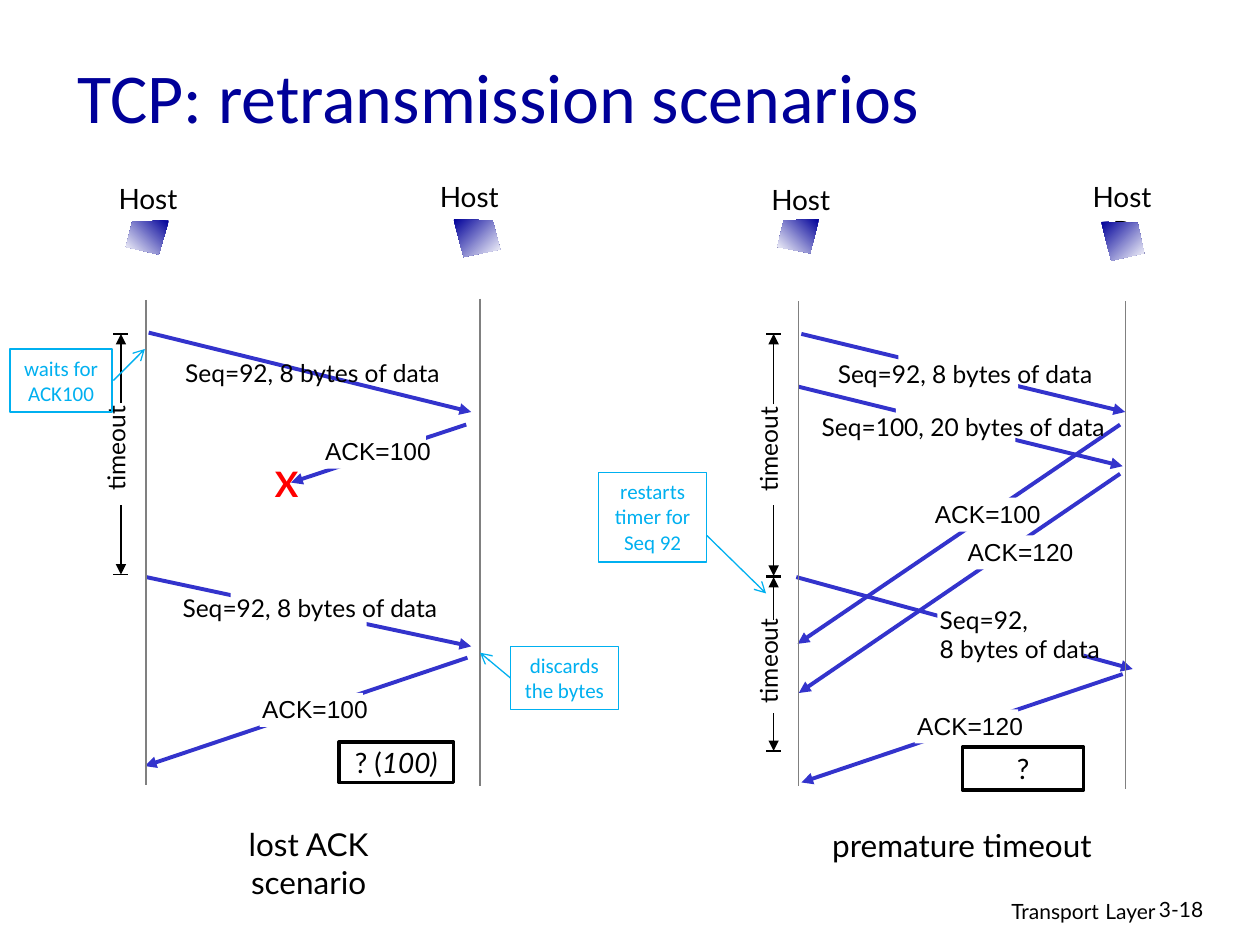
from typing import NamedTuple, Optional

from lxml import etree
from pptx import Presentation
from pptx.dml.color import RGBColor
from pptx.enum.shapes import MSO_CONNECTOR, MSO_SHAPE
from pptx.enum.text import MSO_ANCHOR, PP_ALIGN
from pptx.oxml.ns import qn
from pptx.util import Pt

PX = 9144  # EMU per px, 100 px to the inch
STRAIGHT = MSO_CONNECTOR.STRAIGHT
RECTANGLE = MSO_SHAPE.RECTANGLE
LEFT, CENTER, RIGHT = PP_ALIGN.LEFT, PP_ALIGN.CENTER, PP_ALIGN.RIGHT
TOP, MIDDLE = MSO_ANCHOR.TOP, MSO_ANCHOR.MIDDLE

BLACK, WHITE, RED, GREY = "000000", "FFFFFF", "FF0000", "808080"
NAVY, ARROW_BLUE, NOTE_BLUE = "000099", "3333CC", "00B0F0"

Box = tuple[int, int, int, int]
Point = tuple[int, int]


class Style(NamedTuple):
    color: str
    font: dict


def style(name: str, size: int, color: str = BLACK, **extra: bool) -> Style:
    return Style(color, {"name": name, "size": Pt(size), **extra})


TITLE = style("Calibri", 40, NAVY)
CAPTION = style("Lato", 18)
HOST = style("Lato", 16)
ANSWER_ITALIC = style("Lato", 16, italic=True)
DATA = style("Lato", 14)
ACK = style("Arial", 14)
LOSS = style("Lato", 20, RED, bold=True)
NOTE = style("Calibri", 12, NOTE_BLUE)
FOOTER = style("Lato", 12)


class Message(NamedTuple):
    start: Point
    end: Point
    text: str
    label: Box
    style: Style = DATA
    mask: Optional[Box] = None
    align: PP_ALIGN = CENTER


class Timer(NamedTuple):
    x: int
    top: int
    upper_stem: int
    lower_stem: int
    bottom: int


class Host(NamedTuple):
    name: str
    label: Box
    outline: list[Point]
    gradient_angle: int
    lifeline: tuple[Point, Point]


class Callout(NamedTuple):
    text: str
    box: Box
    start: Point
    end: Point


class Scenario(NamedTuple):
    messages: list[Message]
    hosts: list[Host]
    timers: list[Timer]


def ack(start: Point, end: Point, number: int, left: int, top: int) -> Message:
    return Message(start, end, f"ACK={number}", (left, top, 104, 33), ACK,
                   (left + 8, top + 4, 82, 27))


LOST_ACK = Scenario(
    [
        Message((116, 458), (374, 513), "Seq=92, 8 bytes of data",
                (132, 466, 228, 33), mask=(183, 457, 108, 47)),
        Message((118, 264), (374, 327), "Seq=92, 8 bytes of data", (134, 279, 228, 33)),
        ack((370, 337), (231, 383), 100, 248, 341),
        ack((371, 522), (115, 608), 100, 198, 546),
    ],
    [
        Host("Host A", (76, 139, 83, 37), [(134, 175), (105, 176), (100, 196), (126, 202)],
             225, ((116, 238), (116, 623))),
        Host("Host B", (331, 138, 83, 37), [(360, 174), (391, 175), (397, 198), (368, 204)],
             315, ((381, 237), (381, 624))),
    ],
    [Timer(96, 265, 320, 401, 456)],
)
PREMATURE_TIMEOUT = Scenario(
    [
        Message((632, 458), (899, 531), "Seq=92,\v8 bytes of data",
                (736, 475, 151, 57), mask=(744, 471, 116, 56), align=LEFT),
        Message((636, 265), (893, 327), "Seq=92, 8 bytes of data",
                (652, 280, 228, 33), mask=(713, 274, 95, 44)),
        ack((889, 337), (633, 511), 100, 732, 391),
        ack((891, 535), (636, 621), 120, 718, 559),
        Message((634, 307), (891, 370), "Seq=100, 20 bytes of data",
                (640, 322, 249, 33), mask=(711, 316, 95, 44)),
        ack((889, 376), (634, 550), 120, 758, 421),
    ],
    [
        Host("Host A", (594, 140, 83, 37), [(650, 174), (622, 175), (617, 196), (643, 201)],
             225, ((634, 239), (634, 624))),
        Host("Host B", (849, 138, 83, 37), [(874, 176), (903, 177), (908, 201), (882, 207)],
             315, ((893, 239), (893, 626))),
    ],
    [Timer(614, 265, 321, 401, 457), Timer(614, 458, 492, 566, 596)],
)
CALLOUTS = [
    Callout("waits for ACK100", (8, 277, 81, 50), (90, 302), (115, 277)),
    Callout("discards the bytes", (405, 513, 86, 50), (405, 538), (381, 518)),
    Callout("restarts timer for Seq 92", (475, 375, 86, 71), (561, 425), (608, 471)),
]

prs = Presentation()
prs.slide_width, prs.slide_height = 1000 * PX, 750 * PX
slide = prs.slides.add_slide(prs.slide_layouts[6])
shapes = slide.shapes


def rgb(color: str) -> RGBColor:
    return RGBColor.from_string(color)


def emu(lengths: tuple[int, ...]) -> list[int]:
    return [length * PX for length in lengths]


def write(shape, runs: list[tuple[str, Style]], align=CENTER, anchor=TOP, wrap=False) -> None:
    frame = shape.text_frame
    frame.word_wrap, frame.vertical_anchor = wrap, anchor
    paragraph = frame.paragraphs[0]
    paragraph.alignment = align
    for text, look in runs:
        # A vertical tab marks a line break inside the paragraph
        for index, line in enumerate(text.split("\v")):
            if index:
                paragraph.add_line_break()
            run = paragraph.add_run()
            run.text = line
            run.font.color.rgb = rgb(look.color)
            for attribute, value in look.font.items():
                setattr(run.font, attribute, value)


def add_text(box: Box, text: str, look: Style, **layout):
    shape = shapes.add_textbox(*emu(box))
    write(shape, [(text, look)], **layout)
    return shape


def add_box(box: Box, fill: Optional[str] = WHITE, line: Optional[str] = None, width: float = 0.75):
    shape = shapes.add_shape(RECTANGLE, *emu(box))
    shape.shadow.inherit = False
    if fill:
        shape.fill.solid()
        shape.fill.fore_color.rgb = rgb(fill)
    else:
        shape.fill.background()
    if line:
        shape.line.color.rgb, shape.line.width = rgb(line), Pt(width)
    else:
        shape.line.fill.background()
    return shape


def add_line(start: Point, end: Point, color: str, width: float = 0.75, head: str = "") -> None:
    connector = shapes.add_connector(STRAIGHT, *emu(start + end))
    connector.line.color.rgb, connector.line.width = rgb(color), Pt(width)
    if head:
        etree.SubElement(connector.line._get_or_add_ln(), qn("a:tailEnd"), type=head)
    etree.SubElement(connector.element.spPr, qn("a:effectLst"))


def draw_message(message: Message) -> None:
    add_line(message.start, message.end, ARROW_BLUE, 2.25, "triangle")
    if message.mask:
        add_box(message.mask)
    add_text(message.label, message.text, message.style, align=message.align)


def draw_host(host: Host) -> None:
    add_text(host.label, host.name, HOST, wrap=True)
    builder = shapes.build_freeform(*host.outline[0], scale=PX)
    builder.add_line_segments(host.outline[1:], close=True)
    screen = builder.convert_to_shape()
    screen.shadow.inherit = False
    screen.line.fill.background()
    screen.fill.gradient()
    screen.fill.gradient_angle = host.gradient_angle
    for stop, color in zip(screen.fill.gradient_stops, (NAVY, WHITE)):
        stop.color.rgb = rgb(color)
    add_line(*host.lifeline, GREY)


def draw_timer(timer: Timer) -> None:
    x = timer.x
    for stem, tip in ((timer.upper_stem, timer.top), (timer.lower_stem, timer.bottom)):
        add_line((x, stem), (x, tip), BLACK, head="triangle")
        add_line((x - 6, tip), (x + 6, tip), BLACK)
    middle = (timer.upper_stem + timer.lower_stem) // 2
    label = add_text((x - 21, middle - 36, 43, 75), "timeout", DATA)
    label.rotation = 180
    label.element.txBody.bodyPr.set("vert", "eaVert")


# Title and footer
add_text((52, 26, 850, 99), "TCP: retransmission scenarios", TITLE,
         align=LEFT, anchor=MIDDLE, wrap=True)
footer = shapes.add_textbox(*emu((610, 705, 317, 31)))
write(footer, [("Transport", FOOTER), (" ", DATA), ("Layer", FOOTER)], align=RIGHT, wrap=True)
add_text((910, 707, 74, 30), "3-18", FOOTER, align=LEFT, wrap=True)

# Sequence diagrams
for scenario in (LOST_ACK, PREMATURE_TIMEOUT):
    for message in scenario.messages:
        draw_message(message)
    for host in scenario.hosts:
        draw_host(host)
    for timer in scenario.timers:
        draw_timer(timer)
add_text((208, 362, 39, 43), "X", LOSS)
add_text((143, 650, 204, 40), "lost ACK scenario", CAPTION, wrap=True)
add_text((650, 651, 227, 40), "premature timeout", CAPTION)

# Answers
for box, runs in (
    ((269, 589, 91, 32), [("? (", HOST), ("100)", ANSWER_ITALIC)]),
    ((764, 593, 96, 34), [("?", HOST)]),
):
    write(add_box(box, WHITE, BLACK, 2), runs, anchor=MIDDLE)

# Callouts
for callout in CALLOUTS:
    write(add_box(callout.box, None, NOTE_BLUE), [(callout.text, NOTE)], wrap=True)
    add_line(callout.start, callout.end, NOTE_BLUE, head="arrow")

prs.save("out.pptx")
